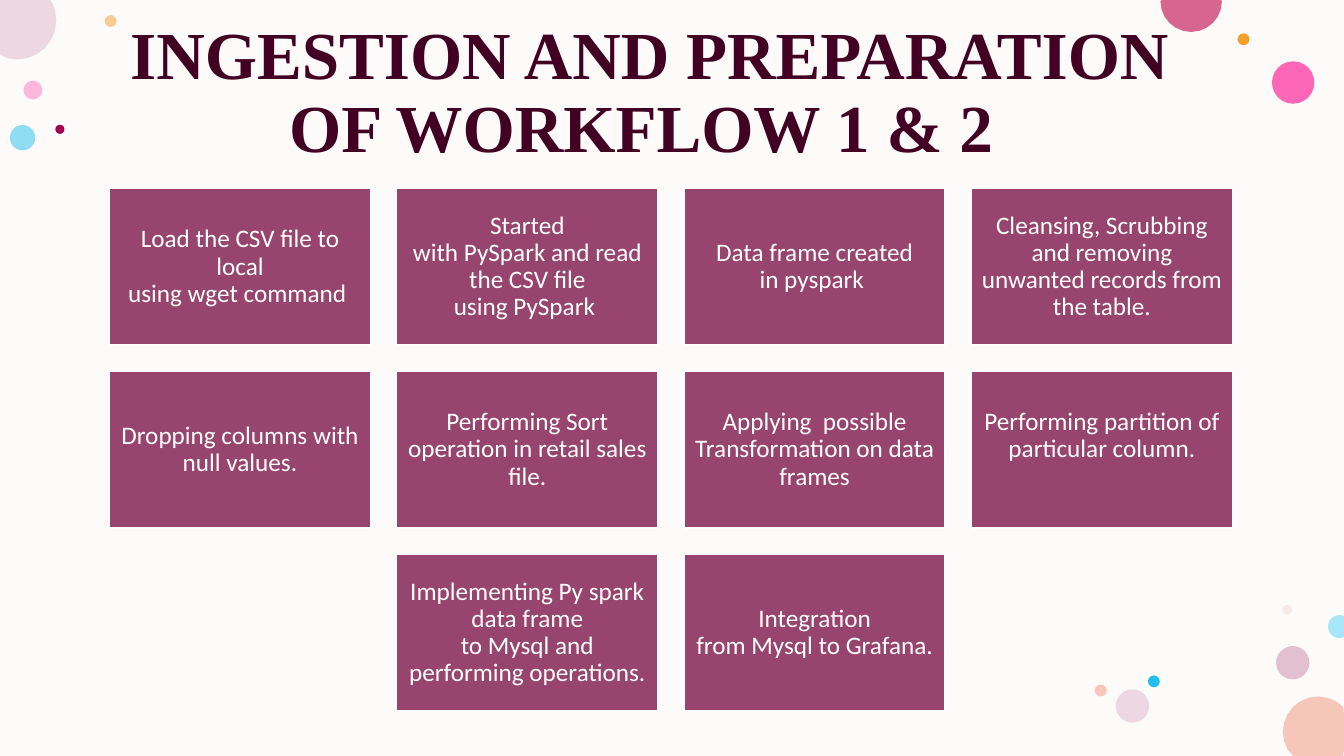
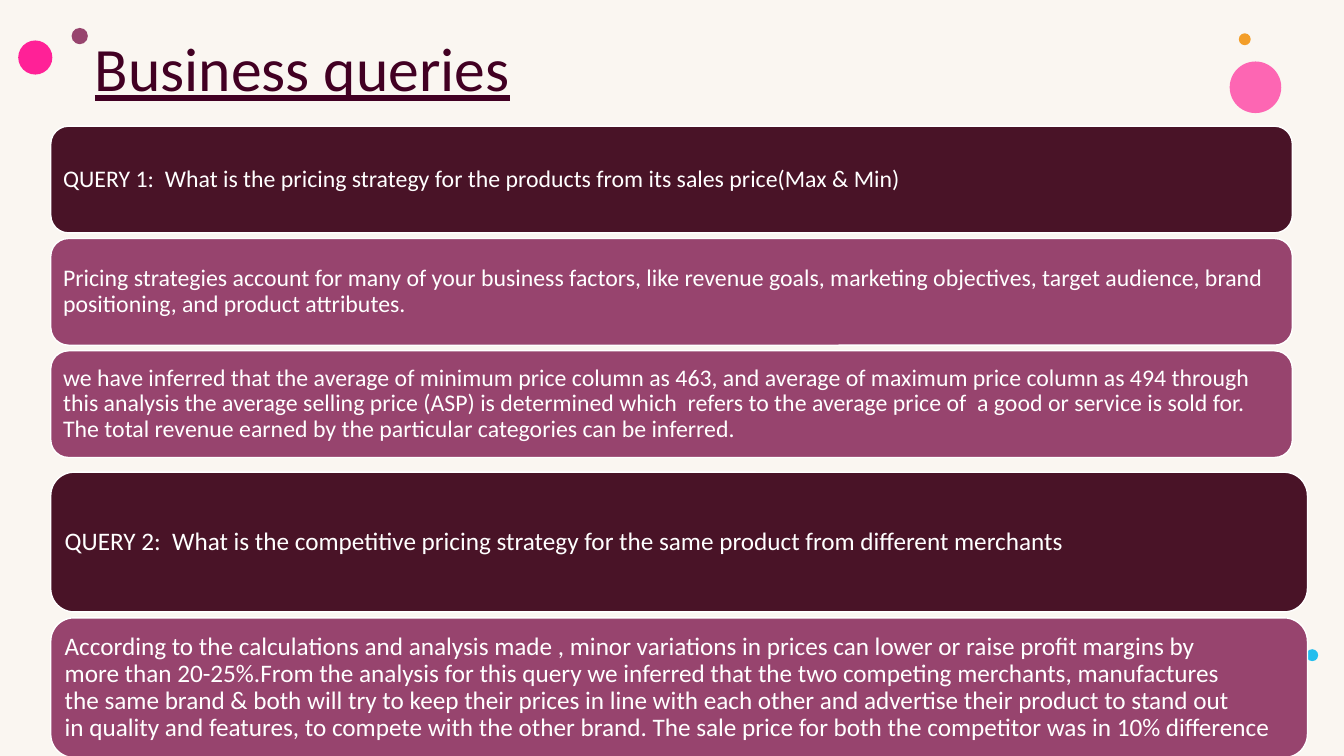
from math import cos, radians, sin

from lxml import etree
from pptx import Presentation
from pptx.dml.color import RGBColor
from pptx.enum.shapes import MSO_SHAPE
from pptx.enum.text import MSO_ANCHOR, PP_ALIGN
from pptx.oxml.ns import qn
from pptx.util import Cm, Pt

OVAL, RECTANGLE, ROUNDED = MSO_SHAPE.OVAL, MSO_SHAPE.RECTANGLE, MSO_SHAPE.ROUNDED_RECTANGLE
LEFT, CENTER = PP_ALIGN.LEFT, PP_ALIGN.CENTER
TOP, MIDDLE = MSO_ANCHOR.TOP, MSO_ANCHOR.MIDDLE
WIDTH, HEIGHT = 33.87, 19.05
BODY_FONT, HEADING_FONT = "Calibri", "Times New Roman"
COLORS = {
    "ivory": "FDFBF9", "sand": "F0E2D3", "white": "FFFFFF",
    "title": "420023", "plum": "97446E", "wine": "491327",
    "pink": "FF75BD", "hot pink": "FF2F9C", "magenta": "FF2197",
    "orange": "F39E29", "mauve": "C987A8", "blue": "24BEEE",
    "pale blue": "A7E5F8", "rose": "E3BEBE", "lilac": "EDD7E2",
    "peach": "F6C7B9", "raspberry": "D6658F", "crimson": "A40056",
}


def write_text(box, text, size, color, align, anchor, font=BODY_FONT):
    frame = box.text_frame
    frame.word_wrap = True
    frame.vertical_anchor = anchor
    para = frame.paragraphs[0]
    para.text = text
    para.alignment = align
    para.line_spacing = 0.9
    para.font.name = font
    para.font.size = Pt(size)
    para.font.color.rgb = RGBColor.from_string(COLORS[color])
    return para


def paint(shape, color, opacity=100):
    shape.shadow.inherit = False
    shape.line.fill.background()
    shape.fill.solid()
    shape.fill.fore_color.rgb = RGBColor.from_string(COLORS[color])
    if opacity < 100:
        fill_color = shape.fill._xPr.find(qn("a:solidFill"))[0]
        etree.SubElement(fill_color, qn("a:alpha"), val=str(opacity * 1000))


deck = Presentation()
deck.slide_width, deck.slide_height = Cm(WIDTH), Cm(HEIGHT)
workflow = deck.slides.add_slide(deck.slide_layouts[6])
queries = deck.slides.add_slide(deck.slide_layouts[6])

workflow_dots = [
    (0.83, 2.27, 0.48, "pink", 50),
    (2.79, 0.53, 0.3, "orange", 50),
    (32.58, 16.7, 0.84, "mauve", 50),
    (0.57, 3.47, 0.64, "blue", 50),
    (32.59, 2.08, 1.07, "hot pink", 72),
    (31.34, 0.99, 0.3, "orange", 100),
    (32.44, 15.37, 0.25, "rose", 28),
    (29.08, 17.17, 0.3, "blue", 100),
    (28.54, 17.79, 0.84, "lilac", 100),
    (27.74, 17.4, 0.3, "peach", 100),
    (33.22, 18.44, 1.78, "peach", 100),
    (0.43, 0.51, 1.98, "lilac", 100),
    (30.02, 0.03, 1.55, "raspberry", 100),
    (1.51, 3.26, 0.23, "crimson", 100),
    (33.76, 15.79, 0.58, "pale blue", 100),
]
query_dots = [
    (2.01, 0.91, 0.41, "plum", 100),
    (31.64, 2.2, 1.3, "hot pink", 72),
    (31.37, 0.99, 0.3, "orange", 100),
    (0.89, 1.45, 0.86, "magenta", 100),
    (33.07, 16.51, 0.3, "blue", 100),
]

for slide, tint, strength, dots in [
    (workflow, "ivory", 100, workflow_dots),
    (queries, "sand", 30, query_dots),
]:
    backdrop = slide.shapes.add_shape(RECTANGLE, 0, 0, Cm(WIDTH), Cm(HEIGHT))
    paint(backdrop, tint, strength)
    for x, y, diameter, color, opacity in dots:
        radius = diameter / 2
        if radius <= x <= WIDTH - radius and radius <= y <= HEIGHT - radius:
            dot = slide.shapes.add_shape(OVAL, Cm(x - radius), Cm(y - radius), Cm(diameter), Cm(diameter))
        else:
            outline = []
            for angle in range(0, 360, 15):
                edge_x = min(max(x + radius * cos(radians(angle)), 0), WIDTH)
                edge_y = min(max(y + radius * sin(radians(angle)), 0), HEIGHT)
                point = (Cm(edge_x), Cm(edge_y))
                if point not in outline:
                    outline.append(point)
            builder = slide.shapes.build_freeform(*outline[0])
            builder.add_line_segments(outline[1:], close=True)
            dot = builder.convert_to_shape()
        paint(dot, color, opacity)

title_box = workflow.shapes.add_textbox(Cm(0.97), Cm(0.5), Cm(30.81), Cm(3.74))
title = write_text(title_box, "INGESTION AND PREPARATION\nOF WORKFLOW 1 & 2 ", 48, "title", CENTER, MIDDLE, HEADING_FONT)
title.font.bold = True

title_box = queries.shapes.add_textbox(Cm(2.14), Cm(0.84), Cm(29.92), Cm(2.1))
title = write_text(title_box, "Business queries", 44, "title", LEFT, TOP)
title.font.underline = True

card_rows = [
    [
        "Load the CSV file to local\nusing wget command ",
        "Started\nwith PySpark and read the CSV file\nusing PySpark ",
        "Data frame created\nin pyspark ",
        "Cleansing, Scrubbing and removing unwanted records from the table.",
    ],
    [
        "Dropping columns with null values.",
        "Performing Sort operation in retail sales file.",
        "Applying  possible Transformation on data frames",
        "Performing partition of particular column.",
    ],
    [
        "Implementing Py spark data frame\nto Mysql and\nperforming operations.",
        "Integration\nfrom Mysql to Grafana.",
    ],
]
query_groups = [
    (3.18, 31.29, 2.69, 2.83, 17, [
        "QUERY 1:  What is the pricing strategy for the products from its sales price(Max & Min)",
        "Pricing strategies account for many of your business factors, like revenue goals, "
        "marketing objectives, target audience, brand positioning, and product attributes. ",
        "we have inferred that the average of minimum price column as 463, and average of maximum "
        "price column as 494 through this analysis the average selling price (ASP) is determined "
        "which  refers to the average price of  a good or service is sold for. "
        "The total revenue earned by the particular categories can be inferred.",
    ]),
    (11.9, 31.67, 3.52, 3.67, 18, [
        "QUERY 2:  What is the competitive pricing strategy for the same product from different merchants",
        "According to the calculations and analysis made , minor variations in prices can lower or "
        "raise profit margins by\nmore than 20-25%.From the analysis for this query we inferred that "
        "the two competing merchants, manufactures\nthe same brand & both will try to keep their "
        "prices in line with each other and advertise their product to stand out\nin quality and "
        "features, to compete with the other brand. The sale price for both the competitor was in "
        "10% difference",
    ]),
]

panels = []
for row, cards in enumerate(card_rows):
    indent = (4 - len(cards)) / 2
    for column, text in enumerate(cards):
        place = (2.76 + (indent + column) * 7.24, 4.75 + row * 4.61, 6.58, 3.95)
        panels.append((workflow, RECTANGLE, place, "plum", text, 18, CENTER))
for top, width, height, step, size, texts in query_groups:
    for index, text in enumerate(texts):
        place = (1.28, top + index * step, width, height)
        panels.append((queries, ROUNDED, place, "plum" if index else "wine", text, size, LEFT))

for slide, kind, place, fill, text, size, align in panels:
    panel = slide.shapes.add_shape(kind, *[Cm(length) for length in place])
    paint(panel, fill)
    panel.line.color.rgb = RGBColor.from_string(COLORS["white"])
    panel.line.width = Pt(1)
    frame = panel.text_frame
    frame.margin_left = frame.margin_right = Cm(0.18)
    frame.margin_top = Cm(0.18)
    frame.margin_bottom = Cm(0.88 if text.startswith("Performing partition") else 0.18)
    write_text(panel, text, size, "white", align, MIDDLE)

deck.save("out.pptx")
